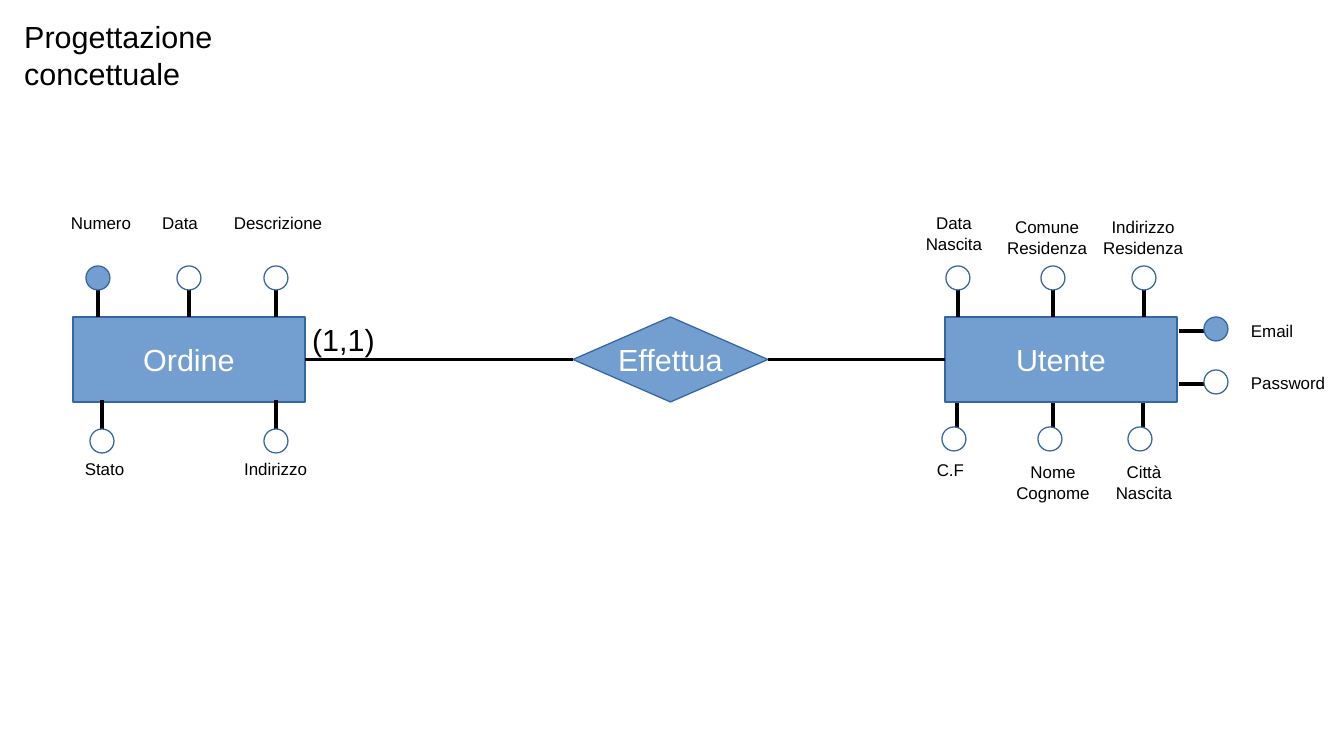
from collections import namedtuple
from dataclasses import dataclass

from pptx import Presentation
from pptx.dml.color import RGBColor
from pptx.enum.shapes import MSO_CONNECTOR as Line, MSO_SHAPE as Shape
from pptx.enum.text import MSO_ANCHOR as Anchor, MSO_AUTO_SIZE as AutoSize, PP_ALIGN as Align
from pptx.oxml.ns import qn
from pptx.util import Emu, Pt
from lxml.etree import SubElement

SCALE = 914400 / 122
WIDTH, HEIGHT = 1344, 756
CIRCLE = 24
TOP, LEFT, BOTTOM, RIGHT = range(4)


@dataclass(frozen=True)
class Theme:
    font: str = "Arial"
    large: int = 18
    small: int = 10
    ink: RGBColor = RGBColor(0, 0, 0)
    paper: RGBColor = RGBColor(255, 255, 255)
    fill: RGBColor = RGBColor(0x72, 0x9F, 0xCF)
    outline: RGBColor = RGBColor(0x34, 0x65, 0xA4)


# Label with its box, then the centre of the circle
Attribute = namedtuple("Attribute", "label left top width x y")
# Stem ends are offsets from the centre of the circle
Side = namedtuple("Side", "stem_start stem_end align attributes")

KEYS = {"Numero", "Email"}
SIDES = [
    Side((0, 3), (0, 39), Align.CENTER, [
        Attribute("Numero", 59, 207, 84, 98, 278),
        Attribute("Data", 150, 207, 60, 189, 278),
        Attribute("Descrizione", 222, 207, 112, 276, 278),
        Attribute("Data\nNascita", 914, 207, 80, 958, 278),
        Attribute("Comune\nResidenza", 995, 211, 104, 1053, 278),
        Attribute("Indirizzo\nResidenza", 1091, 211, 104, 1144, 278),
    ]),
    Side((0, -41), (0, -4), Align.CENTER, [
        Attribute("Stato", 73, 453, 63, 102, 441),
        Attribute("Indirizzo", 232, 453, 87, 276, 441),
    ]),
    Side((3, -36), (3, 0), Align.CENTER, [
        Attribute("C.F", 914, 454, 73, 954, 439),
        Attribute("Nome\nCognome", 1004, 456, 98, 1050, 439),
        Attribute("Città\nNascita", 1104, 456, 80, 1140, 439),
    ]),
    Side((-37, 2), (0, 2), Align.LEFT, [
        Attribute("Email", 1239, 315, 73, 1216, 329),
        Attribute("Password", 1239, 367, 102, 1216, 382),
    ]),
]


def px(*lengths):
    return [Emu(round(length * SCALE)) for length in lengths]


class Diagram:
    def __init__(self, deck, theme):
        self.theme = theme
        self.page = deck.slides.add_slide(deck.slide_layouts[5])

    def set_text(self, box, text, size, color, align, anchor=Anchor.TOP):
        frame = box.text_frame
        frame.text = text
        frame.word_wrap = False
        frame.auto_size = AutoSize.NONE
        frame.vertical_anchor = anchor
        for para in frame.paragraphs:
            para.alignment = align
            for span in para.runs:
                span.font.name = self.theme.font
                span.font.size = Pt(size)
                span.font.color.rgb = color

    def title(self, text, *place):
        box = self.page.shapes.title
        box.left, box.top, box.width, box.height = px(*place)
        self.set_text(box, text, self.theme.large, self.theme.ink, Align.LEFT)

    def label(self, text, size, align, *place):
        box = self.page.shapes.add_textbox(*px(*place))
        self.set_text(box, text, size, self.theme.ink, align)

    def shape(self, kind, fill, *place):
        shape = self.page.shapes.add_shape(kind, *px(*place))
        shape.shadow.inherit = False
        shape.fill.solid()
        shape.fill.fore_color.rgb = fill
        shape.line.color.rgb = self.theme.outline
        shape.line.width = Pt(0)
        return shape

    def node(self, kind, text, left, width):
        """Add an entity or a relationship in the middle row."""
        node = self.shape(kind, self.theme.fill, left, 317, width, 85)
        self.set_text(node, text, self.theme.large, self.theme.paper,
                      Align.CENTER, Anchor.MIDDLE)
        return node

    def line(self, *ends):
        line = self.page.shapes.add_connector(Line.STRAIGHT, *px(*ends))
        line.line.color.rgb = self.theme.ink
        line.line.width = Pt(0)
        SubElement(line._element.spPr, qn("a:effectLst"))
        return line

    def join(self, left_node, right_node):
        line = self.line(0, 0, 0, 0)
        line.begin_connect(left_node, RIGHT)
        line.end_connect(right_node, LEFT)

    def attribute(self, item, side):
        """Add a stem, the circle over it and its label."""
        (start_x, start_y), (end_x, end_y) = side.stem_start, side.stem_end
        self.line(item.x + start_x, item.y + start_y, item.x + end_x, item.y + end_y)
        fill = self.theme.fill if item.label in KEYS else self.theme.paper
        radius = CIRCLE / 2
        self.shape(Shape.OVAL, fill, item.x - radius, item.y - radius, CIRCLE, CIRCLE)
        height = 50 if "\n" in item.label else 31
        self.label(item.label, self.theme.small, side.align,
                   item.left, item.top, item.width, height)


def main():
    deck = Presentation()
    deck.slide_width, deck.slide_height = px(WIDTH, HEIGHT)
    theme = Theme()
    diagram = Diagram(deck, theme)

    diagram.title("Progettazione concettuale", 12, 12, 377, 46)
    order = diagram.node(Shape.RECTANGLE, "Ordine", 73, 232)
    places = diagram.node(Shape.DIAMOND, "Effettua", 573, 195)
    user = diagram.node(Shape.RECTANGLE, "Utente", 945, 232)
    diagram.join(order, places)
    diagram.join(places, user)
    diagram.label("(1,1)", theme.large, Align.LEFT, 300, 315, 87, 46)

    for side in SIDES:
        for item in side.attributes:
            diagram.attribute(item, side)

    deck.save("out.pptx")


if __name__ == "__main__":
    main()
